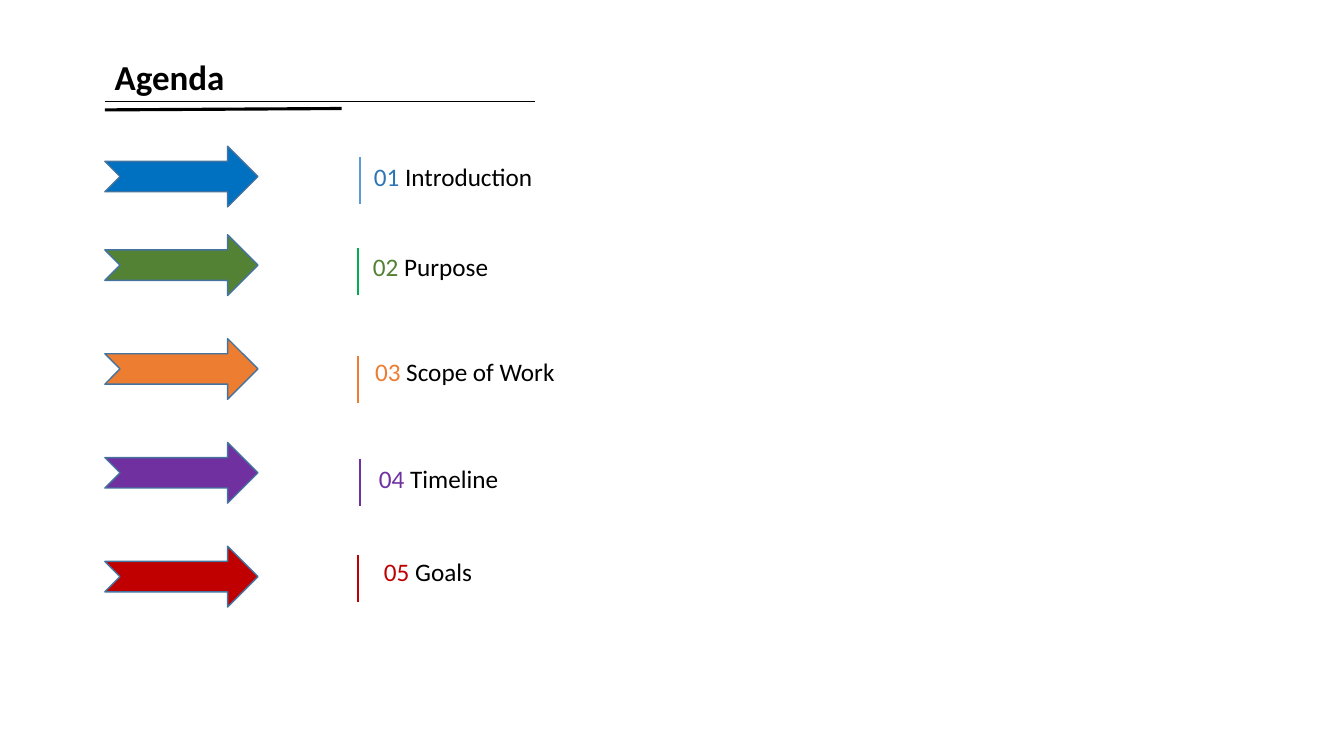
from lxml import etree
from pptx import Presentation
from pptx.dml.color import RGBColor
from pptx.enum.shapes import MSO_CONNECTOR, MSO_SHAPE
from pptx.enum.text import MSO_ANCHOR, PP_ALIGN
from pptx.oxml.ns import qn
from pptx.util import Pt

STRAIGHT = MSO_CONNECTOR.STRAIGHT
RECTANGLE = MSO_SHAPE.RECTANGLE
ARROW = MSO_SHAPE.NOTCHED_RIGHT_ARROW
MIDDLE = MSO_ANCHOR.MIDDLE
LEFT = PP_ALIGN.LEFT

FONT = "Calibri"
COLORS = {
    "white": "FFFFFF", "black": "000000", "outline": "43739E",
    "blue": "0070C0", "number blue": "2E75B6", "light blue": "5B9BD5",
    "green": "548235", "bright green": "00B050", "orange": "ED7D31",
    "purple": "7030A0", "red": "C00000",
}

MARGIN = 74.9
ARROW_SIZE = (109.4, 43.4)
LABEL_SIZE = (161.3, 38.9)
DIVIDER_HEIGHT = 33.6
ARROW_TOPS = [104.4] + [167.7 + 74.16 * step for step in range(4)]

# title, arrow colour, number colour, divider colour,
# label left, label top, label inset, divider left, divider top
ITEMS = [
    ("Introduction", "blue", "number blue", "light blue", 244.1, 106.6, 23, 257, 112.3),
    ("Purpose", "green", "green", "bright green", 244.1, 170.6, 22.3, 255.6, 177.1),
    ("Scope of Work", "orange", "orange", "orange", 244.1, 246.2, 23.8, 255.6, 254.2),
    ("Timeline", "purple", "purple", "purple", 244.1, 322.6, 26.6, 257, 327.6),
    ("Goals", "red", "red", "red", 247.7, 388.8, 26.6, 255.6, 396.7),
]


def rgb(name):
    return RGBColor.from_string(COLORS[name])


class SlideBuilder:
    def __init__(self, slide, font):
        self.shapes = slide.shapes
        self.font = font

    def shape(self, kind, left, top, width, height, fill, outline):
        shape = self.shapes.add_shape(kind, Pt(left), Pt(top), Pt(width), Pt(height))
        shape.shadow.inherit = False
        shape.fill.solid()
        shape.fill.fore_color.rgb = rgb(fill)
        shape.line.color.rgb = rgb(outline)
        shape.line.width = Pt(1)
        return shape

    def label(self, left, top, width, height, spans, size, bold=False, inset=7.2):
        """Add a white box of left-aligned text; spans are (text, colour) pairs."""
        box = self.shape(RECTANGLE, left, top, width, height, "white", "white")
        box.fill.background()
        frame = box.text_frame
        frame.word_wrap = True
        frame.vertical_anchor = MIDDLE
        frame.margin_left = Pt(inset)
        para = frame.paragraphs[0]
        para.alignment = LEFT
        for text, color in spans:
            span = para.add_run()
            span.text = text
            span.font.name = self.font
            span.font.size = Pt(size)
            span.font.bold = bold
            span.font.color.rgb = rgb(color)

    def line(self, start_x, start_y, end_x, end_y, color, weight):
        line = self.shapes.add_connector(
            STRAIGHT, Pt(start_x), Pt(start_y), Pt(end_x), Pt(end_y))
        line.line.color.rgb = rgb(color)
        line.line.width = Pt(weight)
        etree.SubElement(line._element.spPr, qn("a:effectLst"))


def main():
    deck = Presentation()
    deck.slide_width, deck.slide_height = Pt(960), Pt(540)
    page = SlideBuilder(deck.slides.add_slide(deck.slide_layouts[6]), FONT)

    page.shape(RECTANGLE, 64.1, 18.7, 689.8, 430.6, "white", "white")
    page.label(MARGIN, 41.8, 155.5, 25.9, [("Agenda", "black")], 25, bold=True)
    page.line(MARGIN, 72.5, 381.9, 72.5, "black", 0.5)
    page.line(MARGIN, 78.5, 244.1, 77.5, "black", 2.25)

    for number, (item, arrow_top) in enumerate(zip(ITEMS, ARROW_TOPS), start=1):
        (title, arrow_color, number_color, divider_color,
         label_left, label_top, inset, divider_left, divider_top) = item
        page.shape(ARROW, MARGIN, arrow_top, *ARROW_SIZE, arrow_color, "outline")
        spans = [(f"{number:02d}", number_color), (f" {title}", "black")]
        page.label(label_left, label_top, *LABEL_SIZE, spans, 18, inset=inset)
        page.line(divider_left, divider_top, divider_left,
                  divider_top + DIVIDER_HEIGHT, divider_color, 1.5)

    deck.save("out.pptx")


if __name__ == "__main__":
    main()
